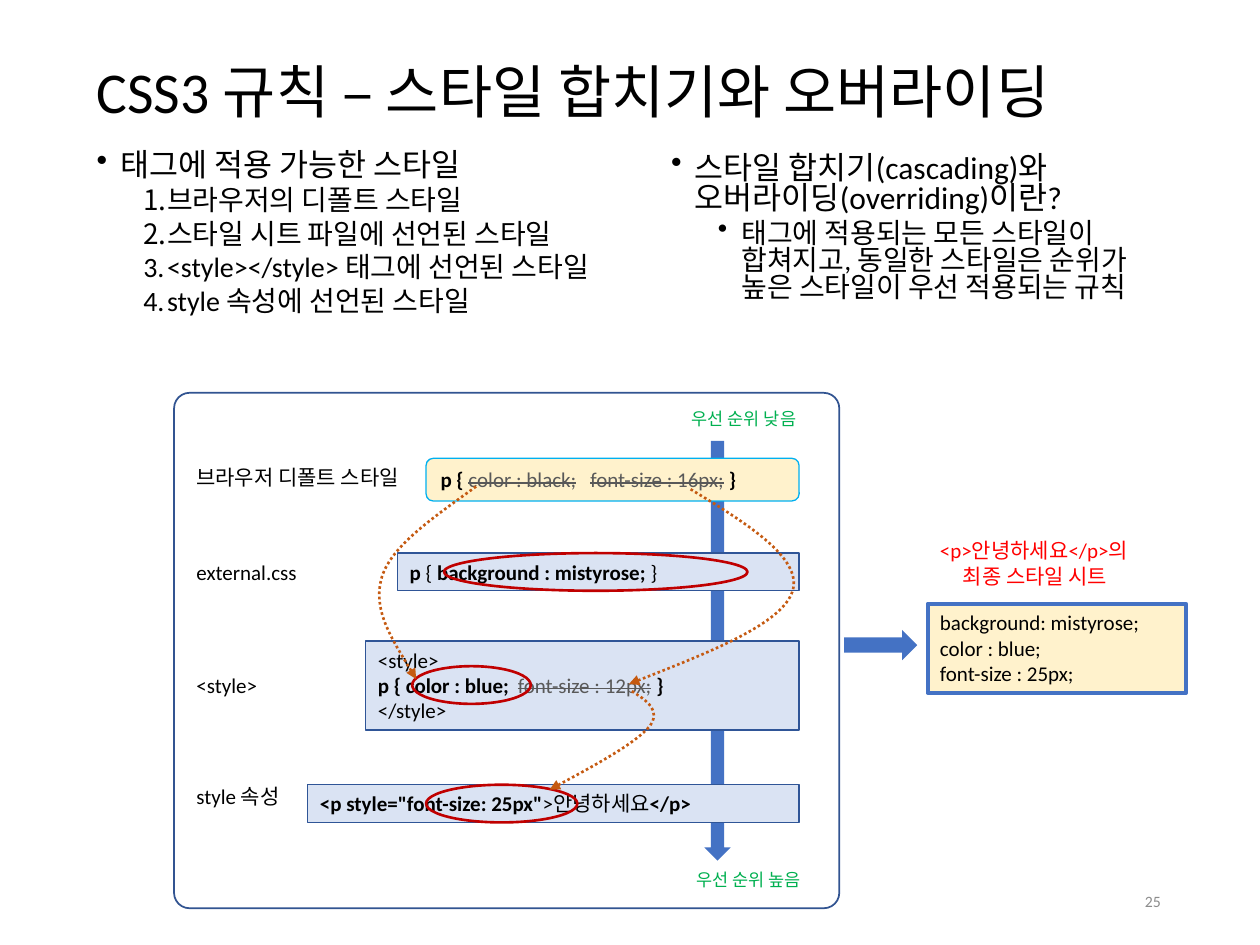
from lxml import etree
from pptx import Presentation
from pptx.dml.color import RGBColor
from pptx.enum.dml import MSO_LINE
from pptx.enum.shapes import MSO_SHAPE
from pptx.enum.text import MSO_ANCHOR, PP_ALIGN
from pptx.oxml.ns import qn
from pptx.util import Cm, Pt

RECT, ROUND, ELLIPSE = MSO_SHAPE.RECTANGLE, MSO_SHAPE.ROUNDED_RECTANGLE, MSO_SHAPE.OVAL
DOWN, RIGHT_ARROW = MSO_SHAPE.DOWN_ARROW, MSO_SHAPE.RIGHT_ARROW
TOP, MIDDLE = MSO_ANCHOR.TOP, MSO_ANCHOR.MIDDLE
LEFT, RIGHT = PP_ALIGN.LEFT, PP_ALIGN.RIGHT
DOTTED = MSO_LINE.ROUND_DOT

FONT = "Calibri"
BLACK, GRAY, RED, GREEN = "000000", "595959", "FF0000", "00B050"
BLUE, PALE_BLUE, CREAM = "4472C4", "DAE3F3", "FFF2CC"
BOLD = {"bold": True}
STRUCK = {"color": GRAY, "strike": True}

BULLET = ("buChar", {"char": "•"})
NUMBER = ("buAutoNum", {"type": "arabicPeriod"})
MAIN_POINT = {"size": 18, "margin": 0.48, "indent": -0.48, "bullet": BULLET,
              "line_spacing": 0.8}
SUB_POINT = {"size": 16, "margin": 1.42, "indent": -0.48, "bullet": BULLET,
             "line_spacing": 0.8, "space_before": Pt(3.8)}
NUMBERED = {**SUB_POINT, "bullet": NUMBER}


def rgb(value):
    return RGBColor.from_string(value)


def add_run(paragraph, text, size, color, bold=False, strike=False):
    run = paragraph.add_run()
    run.text = text
    for name, value in {"name": FONT, "size": Pt(size), "bold": bold}.items():
        setattr(run.font, name, value)
    run.font.color.rgb = rgb(color)
    if strike:
        run._r.get_or_add_rPr().set("strike", "sngStrike")


def format_paragraph(paragraph, style):
    """Apply indents, bullet, tab stop and spacing from a style dict."""
    properties = paragraph._p.get_or_add_pPr()
    if "margin" in style:
        properties.set("marL", str(Cm(style["margin"])))
        properties.set("indent", str(Cm(style.get("indent", 0))))
    if "bullet" in style:
        tag, attributes = style["bullet"]
        etree.SubElement(properties, qn("a:" + tag), attributes)
    if "tab" in style:
        tabs = etree.SubElement(properties, qn("a:tabLst"))
        etree.SubElement(tabs, qn("a:tab"), pos=str(Cm(style["tab"])), algn="l")
    paragraph.alignment = style.get("alignment", LEFT)
    for name in ("line_spacing", "space_before"):
        if name in style:
            setattr(paragraph, name, style[name])


def write_text(shape, lines, size=12, color=BLACK, anchor=TOP, wrap=True):
    """Fill a shape; each line is (runs, style), with runs a string or (text, format) pairs."""
    frame = shape.text_frame
    for name, value in {"word_wrap": wrap, "vertical_anchor": anchor}.items():
        setattr(frame, name, value)
    for index, (runs, style) in enumerate(lines):
        paragraph = frame.add_paragraph() if index else frame.paragraphs[0]
        format_paragraph(paragraph, style)
        for text, run_format in [(runs, {})] if isinstance(runs, str) else runs:
            add_run(paragraph, text,
                    **{"size": style.get("size", size), "color": color, **run_format})


def add_text(slide, box, lines, **options):
    write_text(slide.shapes.add_textbox(*map(Cm, box)), lines, **options)


def paint(shape, fill=None, line=None, width=0.75):
    shape.shadow.inherit = False
    if fill:
        shape.fill.solid()
        shape.fill.fore_color.rgb = rgb(fill)
    else:
        shape.fill.background()
    if line:
        shape.line.color.rgb = rgb(line)
        shape.line.width = Pt(width)
    else:
        shape.line.fill.background()


def add_figure(slide, kind, box, lines=None, **colors):
    shape = slide.shapes.add_shape(kind, *map(Cm, box))
    paint(shape, **colors)
    if lines:
        write_text(shape, lines)
    return shape


def add_curve(slide, left, top, points):
    """Draw a dotted Bezier curve, with an arrowhead at its first point."""
    points = [(Cm(left + x), Cm(top + y)) for x, y in points]
    builder = slide.shapes.build_freeform(*points[0], scale=1.0)
    builder.add_line_segments(points[1:], close=False)
    shape = builder.convert_to_shape()
    paint(shape, line="C55A11", width=1.5)
    shape.line.dash_style = DOTTED
    etree.SubElement(shape.line._get_or_add_ln(), qn("a:headEnd"), type="triangle")
    segments = list(shape._element.iter(qn("a:lnTo")))
    outline = segments[0].getparent()
    for start in range(0, len(segments), 3):
        curve = etree.SubElement(outline, qn("a:cubicBezTo"))
        for segment in segments[start:start + 3]:
            curve.append(segment[0])
            outline.remove(segment)


def add_heading(slide, left, top):
    add_text(slide, (left, top, 21.59, 3.58),
             [("CSS3 규칙 – 스타일 합치기와 오버라이딩", {"line_spacing": 0.9})],
             size=33, anchor=MIDDLE)


def add_points(slide, box, heading, points, point_style):
    add_text(slide, box, [(heading, MAIN_POINT)] + [(text, point_style) for text in points])


def add_cascade(slide, left, top, width, height):
    """Draw the panel of style sources, from low to high priority."""
    def place(x, y, w, h):
        return left + x, top + y, w, h

    code_right = 12.6
    browser = [([("p { ", BOLD), ("color : black;", STRUCK), ("\t", {}),
                 ("font-size : 16px;", STRUCK), (" ", {}), ("}", BOLD)], {"tab": 3.02})]
    external = [([("p", BOLD), (" { ", {}), ("background : mistyrose; ", BOLD), ("}", {})], {})]
    style_tag = [("<style>", {}),
                 ([("p { color : blue;", BOLD), ("\t", {}), ("font-size : 12px;", STRUCK),
                   (" ", {}), ("}", BOLD)], {"tab": 2.82}),
                 ("</style>", {})]
    attribute = [([('<p style="font-size: 25px"', BOLD), (">안녕하세요", {}), ("</p>", BOLD)], {})]
    sources = [
        ("브라우저 디폴트 스타일", 1.32, ROUND, (5.08, 1.32, 0.86), browser, CREAM, "00B0F0"),
        ("external.css", 3.23, RECT, (4.5, 3.23, 0.76), external, PALE_BLUE, "2F5597"),
        ("<style>", 5.51, RECT, (3.86, 5, 1.8), style_tag, PALE_BLUE, "2F5597"),
        ("style 속성", 7.75, RECT, (2.69, 7.9, 0.76), attribute, PALE_BLUE, "2F5597"),
    ]
    add_figure(slide, DOWN, place(10.69, 0.97, 0.53, 8.46), fill=BLUE)
    for label, label_y, kind, (x, y, h), code, fill, line in sources:
        add_figure(slide, kind, place(x, y, code_right - x, h), code, fill=fill, line=line)
        add_text(slide, place(0.2, label_y, 5.08, 0.76), [(label, {})], wrap=False)
    for text, x, y in (("우선 순위 높음", 10.29, 9.47), ("우선 순위 낮음", 10.19, 0.18)):
        add_text(slide, place(x, y, 2.9, 0.69), [(text, {})],
                 size=10, color=GREEN, wrap=False)
    for x, y, w in ((5.08, 7.9, 3.05), (4.8, 5.51, 2.39), (5.44, 3.23, 6.12)):
        add_figure(slide, ELLIPSE, place(x, y, w, 0.76), line="C00000", width=1.5)
    panel = add_figure(slide, ROUND, (left, top, width, height), line="325491", width=1)
    panel.adjustments[0] = 0.03
    overrides = [
        [(4.88, 5.77), (4.45, 5.05), (3.99, 4.37), (4.19, 3.71),
         (4.39, 3.07), (5.26, 2.49), (6.1, 1.88)],
        [(7.57, 8), (8.43, 7.54), (9.3, 7.06), (9.58, 6.73),
         (9.83, 6.4), (9.53, 6.2), (9.19, 5.99)],
        [(9.17, 5.87), (10.72, 5.26), (12.27, 4.65), (12.47, 3.99),
         (12.67, 3.33), (11.53, 2.62), (10.39, 1.93)],
    ]
    for points in overrides:
        add_curve(slide, left, top, points)


def add_result(slide, left, top):
    add_figure(slide, RIGHT_ARROW, (left, top + 1.98, 1.47, 0.61), fill=BLUE)
    rules = ("background: mistyrose;", "color : blue;", "font-size : 25px;")
    add_figure(slide, RECT, (left + 1.68, top + 1.45, 5.21, 1.8),
               [(rule, {}) for rule in rules], fill=CREAM, line=BLUE, width=2.25)
    add_text(slide, (left + 1.68, top, 5.41, 1.27),
             [("<p>안녕하세요</p>의", {}), ("최종 스타일 시트", {"margin": 0.46})], color=RED)


def main():
    presentation = Presentation()
    presentation.slide_width, presentation.slide_height = Cm(25.4), Cm(19.05)
    slide = presentation.slides.add_slide(presentation.slide_layouts[6])
    add_heading(slide, 1.7, 0.13)
    add_points(slide, (1.7, 2.95, 10.8, 4.22), "태그에 적용 가능한 스타일",
               ["브라우저의 디폴트 스타일", "스타일 시트 파일에 선언된 스타일",
                "<style></style> 태그에 선언된 스타일", "style 속성에 선언된 스타일"], NUMBERED)
    add_points(slide, (13.28, 3, 10.8, 3.76),
               "스타일 합치기(cascading)와 오버라이딩(overriding)이란?",
               ["태그에 적용되는 모든 스타일이 합쳐지고, 동일한 스타일은 순위가 "
                "높은 스타일이 우선 적용되는 규칙"], SUB_POINT)
    add_text(slide, (17.93, 17.65, 5.72, 1.02), [("25", {"alignment": RIGHT})],
             size=9, color="8C8C8C", anchor=MIDDLE)
    add_cascade(slide, 3.51, 7.92, 13.41, 10.39)
    add_result(slide, 17.02, 10.72)
    presentation.save("out.pptx")


if __name__ == "__main__":
    main()
